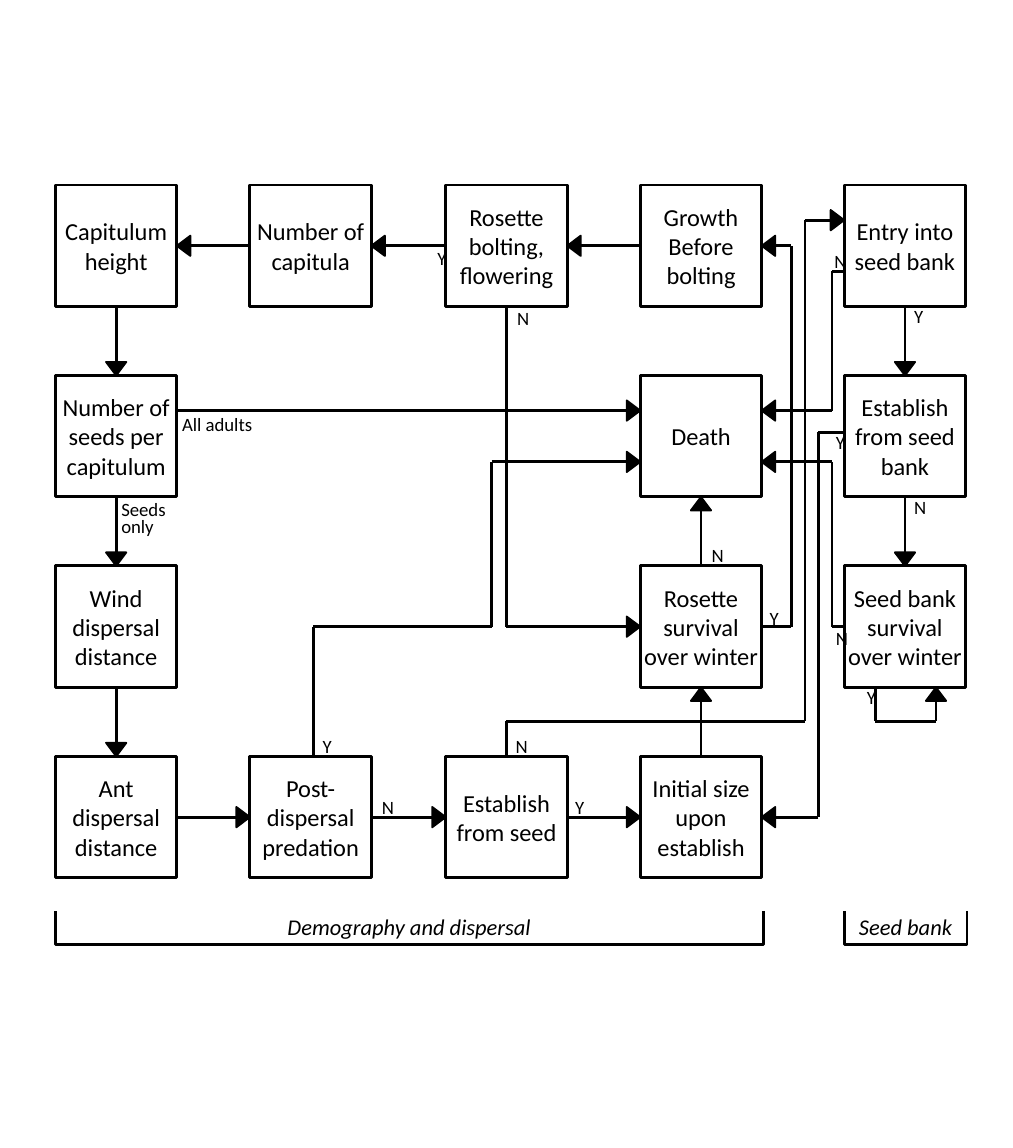
from itertools import pairwise

from lxml import etree
from pptx import Presentation
from pptx.dml.color import RGBColor
from pptx.enum.shapes import MSO_CONNECTOR as Connector, MSO_SHAPE as Shape
from pptx.enum.text import MSO_ANCHOR as Anchor, PP_ALIGN as Align
from pptx.oxml.ns import qn
from pptx.util import Inches, Pt

COLORS = {"ink": "000000", "paper": "FFFFFF"}
FONT = "Calibri"

# Grid of square boxes
COLUMNS = [0.41, 1.85, 3.3, 4.74, 6.25]
ROW_TOP, ROW_PITCH, SIDE = 1.37, 1.41, 0.9
HEAD_WIDTH, HEAD_LENGTH = 0.15, 0.1
TOP, LEFT, BOTTOM, RIGHT = range(4)

# name: (column, row, lines of text)
STEPS = {
    "height": (0, 0, ["Capitulum", "height"]),
    "capitula": (1, 0, ["Number of", "capitula"]),
    "bolting": (2, 0, ["Rosette", "bolting,", "flowering"]),
    "growth": (3, 0, ["Growth", "Before", "bolting"]),
    "entry": (4, 0, ["Entry into", "seed bank"]),
    "seeds": (0, 1, ["Number of", "seeds per", "capitulum"]),
    "death": (3, 1, ["Death"]),
    "bank": (4, 1, ["Establish", "from seed", "bank"]),
    "wind": (0, 2, ["Wind", "dispersal", "distance"]),
    "rosette": (3, 2, ["Rosette", "survival", "over winter"]),
    "dormant": (4, 2, ["Seed bank", "survival", "over winter"]),
    "ant": (0, 3, ["Ant", "dispersal", "distance"]),
    "predation": (1, 3, ["Post-", "dispersal", "predation"]),
    "establish": (2, 3, ["Establish", "from seed"]),
    "size": (3, 3, ["Initial size", "upon", "establish"]),
}

# Each route ends in an arrowhead; a stop is a point or the middle of a box side
ROUTES = [
    [("growth", LEFT), ("bolting", RIGHT)],
    [("bolting", LEFT), ("capitula", RIGHT)],
    [("capitula", LEFT), ("height", RIGHT)],
    [("height", BOTTOM), ("seeds", TOP)],
    [("seeds", BOTTOM), ("wind", TOP)],
    [("wind", BOTTOM), ("ant", TOP)],
    [("ant", RIGHT), ("predation", LEFT)],
    [("predation", RIGHT), ("establish", LEFT)],
    [("establish", RIGHT), ("size", LEFT)],
    [("size", TOP), ("rosette", BOTTOM)],
    [("rosette", TOP), ("death", BOTTOM)],
    [("entry", BOTTOM), ("bank", TOP)],
    [("bank", BOTTOM), ("dormant", TOP)],
    [("bolting", BOTTOM), (3.75, 4.64), ("rosette", LEFT)],
    [("rosette", RIGHT), (5.86, 4.64), (5.86, 1.82), ("growth", RIGHT)],
    [("establish", TOP), (3.75, 5.34), (5.96, 5.34), (5.96, 1.63), (6.25, 1.63)],
    [(6.25, 3.2), (6.06, 3.2), (6.06, 6.05), ("size", RIGHT)],
    [("dormant", LEFT), (6.16, 4.64), (6.16, 3.42), (5.64, 3.42)],
    [(6.25, 2.01), (6.16, 2.01), (6.16, 3.04), (5.64, 3.04)],
    [(6.48, 5.09), (6.48, 5.34), (6.93, 5.34), (6.93, 5.09)],
    [(2.32, 5.6), (2.32, 4.64), (3.64, 4.64), (3.64, 3.42), (4.74, 3.42)],
    [(1.31, 3.04), (4.74, 3.04)],
]

# Left and top of the yes and no labels
ANSWERS = {
    "Y": [(4.16, 5.84), (6.67, 2.21), (6.09, 3.14), (6.32, 5.03),
          (3.14, 1.78), (2.29, 5.39), (5.6, 4.44)],
    "N": [(2.73, 5.84), (6.08, 1.8), (6.67, 3.62), (6.09, 4.59),
          (5.17, 3.98), (3.73, 2.22), (3.72, 5.39)],
}
NOTES = [(["All adults"], 1.25, 3.01, 0.27, None),
         (["Seeds", "only"], 0.8, 3.68, 0.36, Pt(9))]
# text, left, width of the bracket
GROUPS = [("Demography and dispersal", 0.41, 5.24), ("Seed bank", 6.25, 0.91)]

deck = Presentation()
deck.slide_width, deck.slide_height = Inches(7.5), Inches(8.5)
page = deck.slides.add_slide(deck.slide_layouts[6])


def color(name):
    return RGBColor.from_string(COLORS[name])


def write(frame, lines, size=13, align=Align.CENTER, italic=False, spacing=None):
    for index, text in enumerate(lines):
        para = frame.paragraphs[0] if index == 0 else frame.add_paragraph()
        para.alignment = align
        para.line_spacing = spacing
        span = para.add_run()
        span.text = text
        span.font.name, span.font.size, span.font.italic = FONT, Pt(size), italic
        span.font.color.rgb = color("ink")


def add_label(lines, left, top, width, height, **style):
    box = page.shapes.add_textbox(*map(Inches, (left, top, width, height)))
    box.text_frame.word_wrap = True
    write(box.text_frame, lines, **style)


def add_outline(kind, left, top, width, height, fill=None, weight=1.5):
    shape = page.shapes.add_shape(kind, *map(Inches, (left, top, width, height)))
    shape.shadow.inherit = False
    if fill:
        shape.fill.solid()
        shape.fill.fore_color.rgb = color(fill)
    else:
        shape.fill.background()
    shape.line.color.rgb = color("ink")
    shape.line.width = Pt(weight)
    return shape


def corner(name):
    column, row, _ = STEPS[name]
    return COLUMNS[column], ROW_TOP + row * ROW_PITCH


def point(stop):
    if stop[0] not in STEPS:
        return stop
    left, top = corner(stop[0])
    across, down = [(0.5, 0), (0, 0.5), (0.5, 1), (1, 0.5)][stop[1]]
    return left + across * SIDE, top + down * SIDE


def add_head(start, tip):
    dx, dy = tip[0] - start[0], tip[1] - start[1]
    if abs(dx) > abs(dy):
        turn, step = (90, (1, 0)) if dx > 0 else (270, (-1, 0))
    else:
        turn, step = (180, (0, 1)) if dy > 0 else (0, (0, -1))
    x, y = (end - way * HEAD_LENGTH / 2 for end, way in zip(tip, step))
    head = add_outline(Shape.ISOSCELES_TRIANGLE, x - HEAD_WIDTH / 2, y - HEAD_LENGTH / 2,
                       HEAD_WIDTH, HEAD_LENGTH, fill="ink", weight=1)
    head.rotation = turn


def add_line(start, end):
    line = page.shapes.add_connector(Connector.STRAIGHT,
                                     *map(Inches, (*point(start), *point(end))))
    line.line.color.rgb = color("ink")
    line.line.width = Pt(1.5)
    etree.SubElement(line._element.spPr, qn("a:effectLst"))
    for stop, join in ((start, line.begin_connect), (end, line.end_connect)):
        if stop[0] in boxes:
            join(boxes[stop[0]], stop[1])


# Arrowheads, behind the boxes
for route in ROUTES:
    add_head(point(route[-2]), point(route[-1]))

# Boxes
boxes = {}
for name, (_, _, lines) in STEPS.items():
    boxes[name] = add_outline(Shape.RECTANGLE, *corner(name), SIDE, SIDE, fill="paper")
    frame = boxes[name].text_frame
    frame.word_wrap = False
    frame.vertical_anchor = Anchor.MIDDLE
    write(frame, lines)

# Lines
for route in ROUTES:
    for start, end in pairwise(route):
        add_line(start, end)

# Labels on the lines
for answer, places in ANSWERS.items():
    for left, top in places:
        add_label([answer], left, top, 0.2, 0.27, size=10)
for lines, left, top, height, spacing in NOTES:
    add_label(lines, left, top, 1.24, height, size=10, align=Align.LEFT, spacing=spacing)

# Brackets under the two groups
DEPTH, MIDDLE = 0.25, 6.87
for text, left, width in GROUPS:
    center = left + width / 2
    bracket = add_outline(Shape.RIGHT_BRACKET, center - DEPTH / 2, MIDDLE - width / 2,
                          DEPTH, width)
    bracket.rotation = 90
    bracket.adjustments[0] = 0
    add_label([text], left - 0.04, 6.71, width + 0.08, 0.3, size=12, italic=True)

deck.save("out.pptx")
